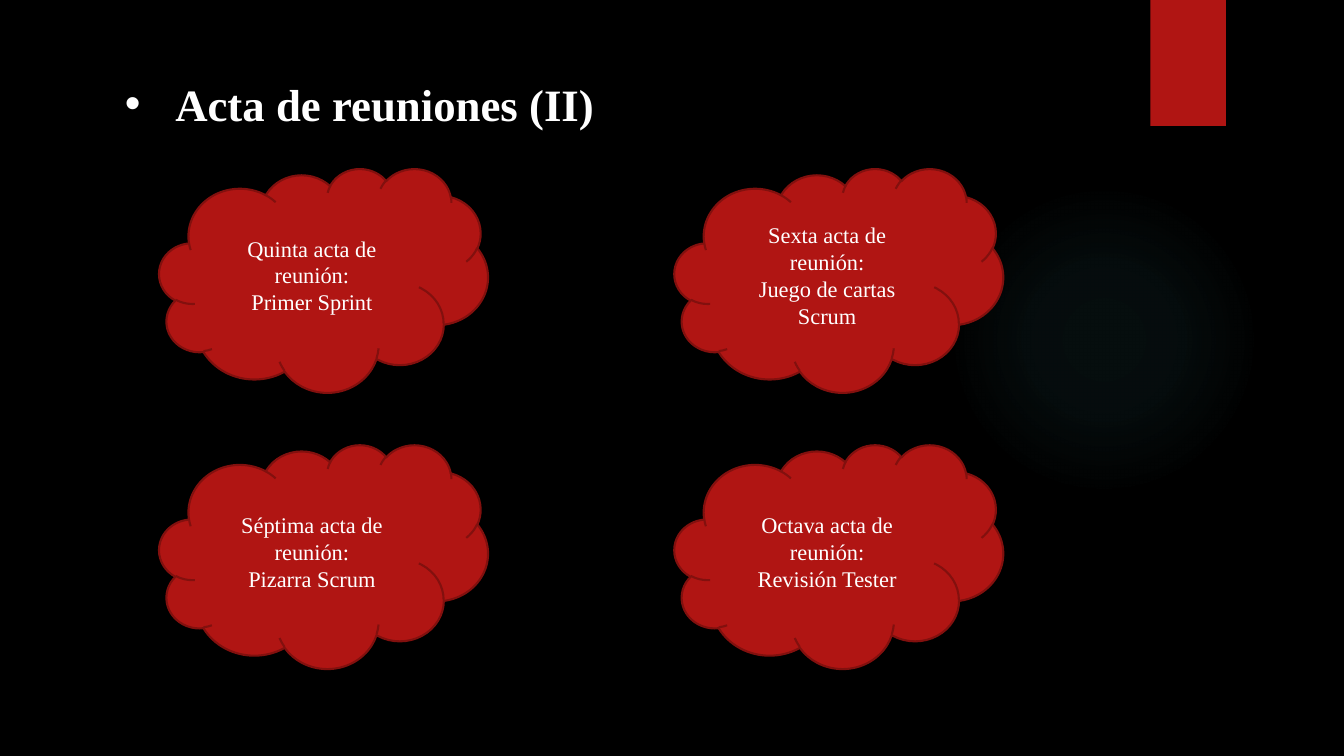
from pptx import Presentation
from pptx.dml.color import RGBColor
from pptx.enum.shapes import MSO_SHAPE
from pptx.enum.text import MSO_ANCHOR, MSO_AUTO_SIZE, PP_ALIGN
from pptx.oxml import parse_xml
from pptx.oxml.ns import nsdecls, qn
from pptx.util import Inches, Pt

OVAL, RECT, CLOUD = MSO_SHAPE.OVAL, MSO_SHAPE.RECTANGLE, MSO_SHAPE.CLOUD
MIDDLE, CENTER = MSO_ANCHOR.MIDDLE, PP_ALIGN.CENTER
FIT_SHAPE = MSO_AUTO_SIZE.SHAPE_TO_FIT_TEXT

THEME = {
    "background": RGBColor.from_string("000000"),
    "accent": RGBColor.from_string("B01513"),
    "outline": RGBColor.from_string("82100E"),
    "text": RGBColor.from_string("FFFFFF"),
    "glow": "50B9C1",
    "font": "Times New Roman",
    "title_size": Pt(32),
    "body_size": Pt(16),
}


def add_shape(kind, left, top, width, height):
    sp = s.shapes.add_shape(kind, Inches(left), Inches(top), Inches(width), Inches(height))
    sp.shadow.inherit = False
    sp.fill.solid()
    sp.fill.fore_color.rgb = THEME["accent"]
    sp.line.fill.background()
    return sp


def add_run(p, text, size, bold=False):
    r = p.add_run()
    r.text = text
    r.font.name = THEME["font"]
    r.font.size = size
    r.font.bold = bold
    r.font.color.rgb = THEME["text"]


prs = Presentation()
prs.slide_width, prs.slide_height = Inches(13.33), Inches(7.5)
s = prs.slides.add_slide(prs.slide_layouts[6])
s.background.fill.solid()
s.background.fill.fore_color.rgb = THEME["background"]

glow = add_shape(OVAL, 9.41, 1.83, 3.08, 3.08)
stops = "".join(
    f'<a:gs pos="{pos * 1000}"><a:srgbClr val="{THEME["glow"]}">'
    f'<a:alpha val="{alpha * 1000}"/></a:srgbClr></a:gs>'
    for pos, alpha in [(0, 7), (36, 6), (69, 0)]
)
gradient = parse_xml(
    f'<a:gradFill {nsdecls("a")} rotWithShape="1"><a:gsLst>{stops}</a:gsLst>'
    '<a:path path="circle"><a:fillToRect l="50000" t="50000" r="50000" b="50000"/></a:path>'
    '</a:gradFill>'
)
spPr = glow._element.spPr
spPr.replace(spPr.find(qn("a:solidFill")), gradient)

add_shape(RECT, 11.41, 0, 0.75, 1.25)

title = s.shapes.add_textbox(Inches(1.14), Inches(0.71), Inches(4.9), Inches(0.64))
tf = title.text_frame
tf.word_wrap = False
tf.auto_size = FIT_SHAPE
p = tf.paragraphs[0]
pPr = p._p.get_or_add_pPr()
pPr.set("marL", str(Inches(0.5)))
pPr.set("indent", str(Inches(-0.5)))
pPr.append(parse_xml(f'<a:buFont {nsdecls("a")} typeface="Arial"/>'))
pPr.append(parse_xml(f'<a:buChar {nsdecls("a")} char="•"/>'))
add_run(p, "Acta de reuniones (II)", THEME["title_size"], bold=True)

meetings = [
    ("Quinta acta de reunión:", "Primer Sprint"),
    ("Sexta acta de reunión:", "Juego de cartas Scrum"),
    ("Séptima acta de reunión:", "Pizarra Scrum"),
    ("Octava acta de reunión:", "Revisión Tester"),
]
for i, lines in enumerate(meetings):
    row, col = divmod(i, 2)
    cloud = add_shape(CLOUD, 1.58 + 5.11 * col, 1.67 + 2.74 * row, 3.26, 2.22)
    cloud.line.color.rgb = THEME["outline"]
    cloud.line.width = Pt(1.5)
    tf = cloud.text_frame
    tf.word_wrap = True
    tf.vertical_anchor = MIDDLE
    for n, text in enumerate(lines):
        p = tf.add_paragraph() if n else tf.paragraphs[0]
        p.alignment = CENTER
        add_run(p, text, THEME["body_size"])

prs.save("out.pptx")
